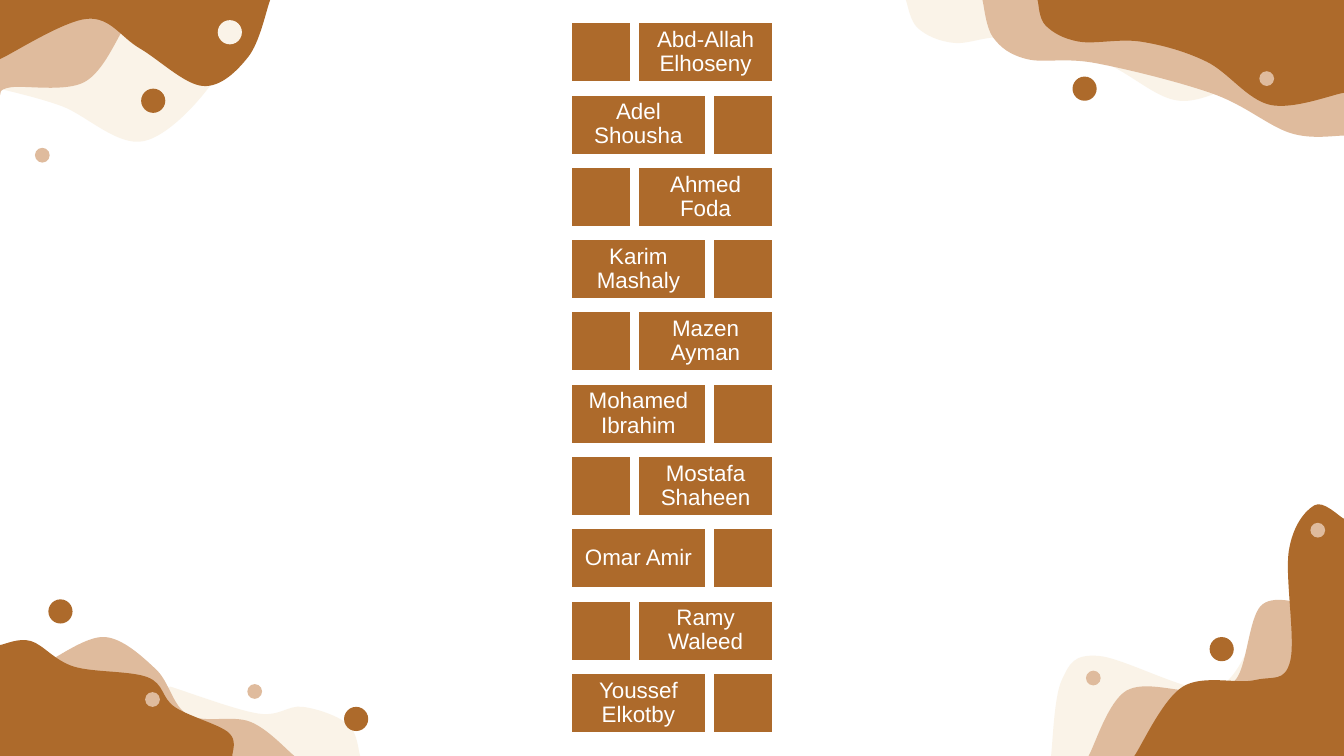
from dataclasses import dataclass

from pptx import Presentation
from pptx.dml.color import RGBColor
from pptx.enum.shapes import MSO_SHAPE
from pptx.enum.text import MSO_ANCHOR, PP_ALIGN
from pptx.oxml.ns import qn
from pptx.oxml.xmlchemy import OxmlElement
from pptx.util import Inches, Pt


@dataclass(frozen=True)
class Theme:
    brown: str = "AD6A2B"
    tan: str = "DFBB9D"
    cream: str = "FAF3E8"
    white: str = "FFFFFF"
    font: str = "Arial"
    name_size: int = 12
    border: int = 2
    big_dot: float = 0.18
    small_dot: float = 0.11


THEME = Theme()
WIDTH, HEIGHT = 10, 5.625
TOP_LEFT, TOP_RIGHT = (0, 0), (WIDTH, 0)
BOTTOM_LEFT, BOTTOM_RIGHT = (0, HEIGHT), (WIDTH, HEIGHT)

NAMES = [
    "Abd-Allah Elhoseny", "Adel Shousha", "Ahmed Foda", "Karim Mashaly",
    "Mazen Ayman", "Mohamed Ibrahim", "Mostafa Shaheen", "Omar Amir",
    "Ramy Waleed", "Youssef Elkotby",
]
GRID_LEFT, GRID_RIGHT = 4.24, 5.76
FIRST_ROW, LAST_ROW = 0.16, 5.0
TILE, NAME_WIDTH = 0.46, 1.02

WAVES = [
    (THEME.cream, BOTTOM_LEFT, [
        (2.68, HEIGHT), (2.59, 5.39), (2.25, 5.26), (1.92, 5.31), (1.27, 5.11)]),
    (THEME.cream, TOP_RIGHT, [
        (6.74, 0), (6.83, 0.21), (7.1, 0.32), (7.53, 0.28), (8.2, 0.46),
        (8.77, 0.75), (9.28, 0.59)]),
    (THEME.tan, TOP_RIGHT, [
        (7.31, 0), (7.39, 0.28), (7.64, 0.44), (8.15, 0.47), (9.03, 0.7),
        (9.6, 0.99), (WIDTH, 1.01)]),
    (THEME.tan, BOTTOM_LEFT, [
        (2.19, HEIGHT), (1.86, 5.37), (1.4, 5.32), (1.16, 4.98), (0.78, 4.74),
        (0.36, 4.92)]),
    (THEME.brown, BOTTOM_LEFT, [
        (0, 4.8), (0.23, 4.77), (0.55, 4.96), (1.1, 5.04), (1.3, 5.26),
        (1.7, 5.45), (1.73, HEIGHT)]),
    (THEME.brown, TOP_RIGHT, [
        (7.72, 0), (7.78, 0.19), (8.03, 0.31), (8.49, 0.31), (8.98, 0.46),
        (9.45, 0.78), (WIDTH, 0.69)]),
    (THEME.cream, BOTTOM_RIGHT, [
        (7.82, HEIGHT), (7.9, 5.06), (8.17, 4.88), (8.99, 5.13), (9.3, 4.82)]),
    (THEME.tan, BOTTOM_RIGHT, [
        (8.1, HEIGHT), (8.38, 5.14), (8.91, 5.14), (9.2, 5.05), (9.38, 4.51),
        (9.72, 4.49)]),
    (THEME.brown, BOTTOM_RIGHT, [
        (8.44, HEIGHT), (8.8, 5.11), (9.34, 5.06), (9.6, 4.92), (9.59, 4.1),
        (9.78, 3.76), (WIDTH, 3.86)]),
    (THEME.cream, TOP_LEFT, [
        (0, 0.66), (0.46, 0.79), (1.07, 1.05), (1.63, 0.54), (1.71, 0)]),
    (THEME.tan, TOP_LEFT, [
        (0, 0.71), (0.08, 0.65), (0.63, 0.61), (0.94, 0.18), (1.05, 0)]),
    (THEME.brown, TOP_LEFT, [
        (0, 0.44), (0.65, 0.14), (1.04, 0.36), (1.51, 0.64), (1.85, 0.42),
        (2.01, 0)]),
]

DOTS = [
    (THEME.brown, THEME.big_dot,
     [(2.56, 5.26), (0.36, 4.46), (1.05, 0.66), (9, 4.74), (7.98, 0.57)]),
    (THEME.tan, THEME.small_dot,
     [(1.08, 5.15), (1.84, 5.09), (9.37, 0.53), (0.26, 1.1), (8.08, 4.99), (9.75, 3.89)]),
    (THEME.cream, THEME.big_dot, [(1.62, 0.15)]),
]


def paint(sp, color, border=None):
    sp.shadow.inherit = False
    sp.fill.solid()
    sp.fill.fore_color.rgb = RGBColor.from_string(color)
    if border:
        sp.line.color.rgb = RGBColor.from_string(border)
        sp.line.width = Pt(THEME.border)
    else:
        sp.line.fill.background()


def smooth_points(crests):
    padded = [crests[0], *crests, crests[-1]]
    points = []
    for before, a, b, after in zip(padded, padded[1:], padded[2:], padded[3:]):
        points.append([p + (q - o) / 6 for o, p, q in zip(before, a, b)])
        points.append([q - (t - p) / 6 for p, q, t in zip(a, b, after)])
        points.append(b)
    return points


def add_wave(s, color, corner, crests):
    start, *points = [(Inches(x), Inches(y))
                      for x, y in [crests[0], *smooth_points(crests), corner]]
    builder = s.shapes.build_freeform(*start)
    builder.add_line_segments(points, close=True)
    sp = builder.convert_to_shape()
    lines = list(sp._element.iter(qn("a:lnTo")))[:-1]
    for trio in zip(lines[::3], lines[1::3], lines[2::3]):
        curve = OxmlElement("a:cubicBezTo")
        trio[0].addprevious(curve)
        for line in trio:
            curve.append(line[0])
            line.getparent().remove(line)
    paint(sp, color)


def add_preset(s, kind, x, y, w, h, color, border=None):
    sp = s.shapes.add_shape(kind, Inches(x), Inches(y), Inches(w), Inches(h))
    paint(sp, color, border)
    return sp


def write(sp, text, *, size, color, font=THEME.font, align=PP_ALIGN.CENTER, spacing=0.9):
    tf = sp.text_frame
    tf.word_wrap = True
    tf.vertical_anchor = MSO_ANCHOR.MIDDLE
    tf.margin_left = tf.margin_right = tf.margin_top = tf.margin_bottom = Inches(0.05)
    p = tf.paragraphs[0]
    p.alignment = align
    p.line_spacing = spacing
    r = p.add_run()
    r.text = text
    r.font.name = font
    r.font.size = Pt(size)
    r.font.color.rgb = RGBColor.from_string(color)


def add_name_row(s, row, name):
    y = FIRST_ROW + row * (LAST_ROW - FIRST_ROW) / (len(NAMES) - 1)
    if row % 2:
        name_x, tile_x = GRID_LEFT, GRID_RIGHT - TILE
    else:
        name_x, tile_x = GRID_RIGHT - NAME_WIDTH, GRID_LEFT
    label = add_preset(s, MSO_SHAPE.RECTANGLE, name_x, y, NAME_WIDTH, TILE,
                       THEME.brown, THEME.white)
    write(label, name, size=THEME.name_size, color=THEME.white)
    add_preset(s, MSO_SHAPE.RECTANGLE, tile_x, y, TILE, TILE, THEME.brown, THEME.white)


def main():
    prs = Presentation()
    prs.slide_width, prs.slide_height = Inches(WIDTH), Inches(HEIGHT)
    s = prs.slides.add_slide(prs.slide_layouts[6])
    for wave in WAVES:
        add_wave(s, *wave)
    for color, size, places in DOTS:
        for x, y in places:
            add_preset(s, MSO_SHAPE.OVAL, x, y, size, size, color)
    for row, name in enumerate(NAMES):
        add_name_row(s, row, name)
    prs.save("out.pptx")


if __name__ == "__main__":
    main()
